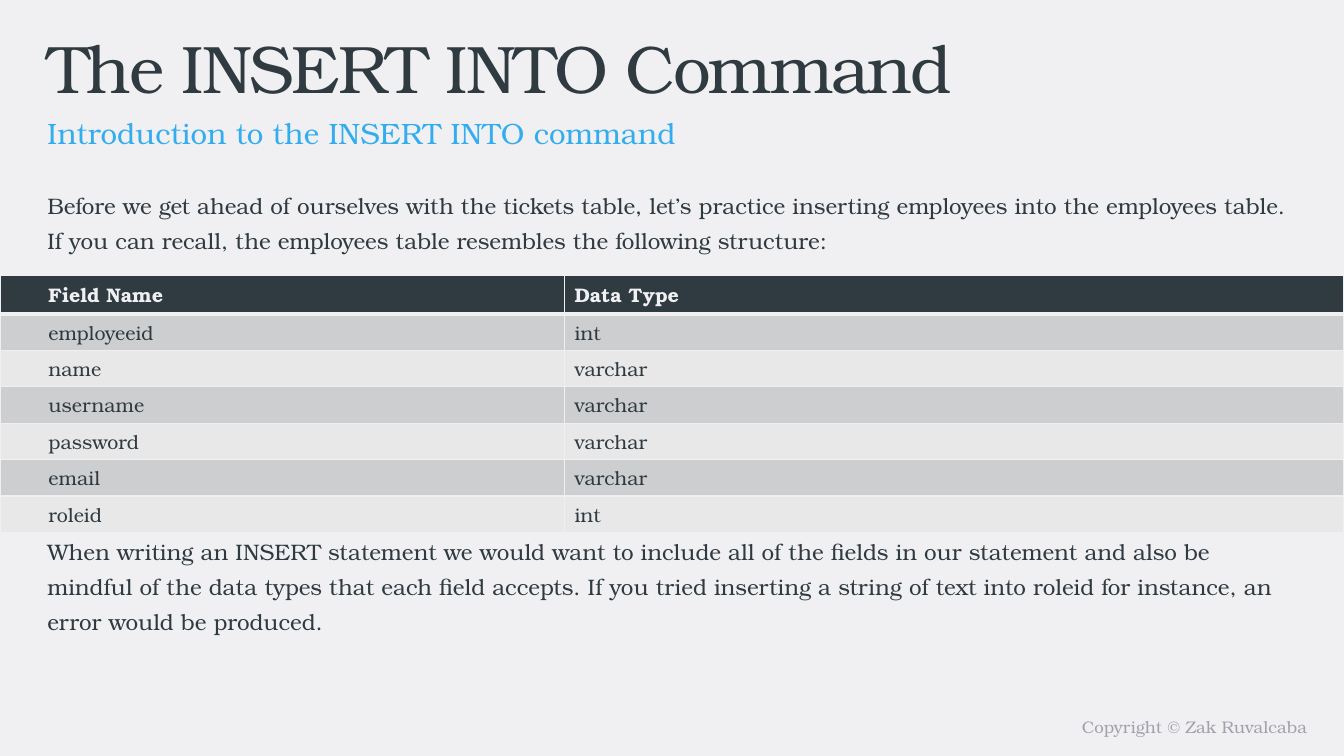
"""Build the slide that introduces the INSERT INTO command."""
import dataclasses
import typing

import lxml.etree
import pptx
import pptx.dml.color
import pptx.enum.text
import pptx.oxml.ns
import pptx.util

Pt = pptx.util.Pt
Align = pptx.enum.text.PP_ALIGN
FACE = "TeX Gyre Bonum"
DARK, PALE, BLUE, GRAY = "303B41", "F0F0F2", "34ADEF", "A1A1AD"
BANDS = ("CDCECF", "E8E8E9")
FIELDS = (
    ("Field Name", "Data Type"),
    ("employeeid", "int"),
    ("name", "varchar"),
    ("username", "varchar"),
    ("password", "varchar"),
    ("email", "varchar"),
    ("roleid", "int"),
)
WIDTHS = (403.2, 556.8)
INDENTS = (34.56, 7.2)
ROW = 26
INTRO = (
    "Before we get ahead of ourselves with the tickets table, let’s practice "
    "inserting employees into the employees table. If you can recall, the "
    "employees table resembles the following structure:"
)
CLOSE = (
    "When writing an INSERT statement we would want to include all of the "
    "fields in our statement and also be mindful of the data types that each "
    "field accepts. If you tried inserting a string of text into roleid for "
    "instance, an error would be produced."
)


@dataclasses.dataclass(frozen=True)
class Block:
    lines: tuple[str, ...]
    box: tuple[float, float, float, float]
    size: float
    color: str
    lead: float = 1.0
    gap: float = 0
    track: int = 0
    align: typing.Any = Align.LEFT


TITLE = Block(("The INSERT INTO Command",), (26.6, 15.1, 846.7, 56.9), 48, DARK, track=-150)
BODY = Block((INTRO, CLOSE), (26.6, 128.2, 907.9, 393.1), 16, DARK, lead=1.3, gap=197)
SUB = Block(("Introduction to the INSERT INTO command",), (26.6, 71.3, 846.7, 28.1), 21, BLUE, lead=1.3)
FOOT = Block(("Copyright © Zak Ruvalcaba",), (480.2, 508.3, 460.8, 22.3), 12, GRAY, align=Align.RIGHT)


def rgb(code: str) -> pptx.dml.color.RGBColor:
    return pptx.dml.color.RGBColor.from_string(code)


def add(parent: typing.Any, tag: str, **attrs: str) -> typing.Any:
    return lxml.etree.SubElement(parent, pptx.oxml.ns.qn(tag), attrs)


def style(para: typing.Any, size: float, color: str, bold: bool = False) -> None:
    font = para.font
    font.name, font.size, font.bold = FACE, Pt(size), bold
    font.color.rgb = rgb(color)


def write(shape: typing.Any, block: Block) -> None:
    shape.left, shape.top, shape.width, shape.height = map(Pt, block.box)
    frame = shape.text_frame
    frame.word_wrap = True
    frame.auto_size = pptx.enum.text.MSO_AUTO_SIZE.NONE
    frame.vertical_anchor = pptx.enum.text.MSO_ANCHOR.TOP
    frame.text = "\n".join(block.lines)
    for rank, para in enumerate(frame.paragraphs):
        props = para._p.get_or_add_pPr()
        props.set("marL", "0")
        props.set("indent", "0")
        add(props, "a:buNone")
        para.alignment = block.align
        para.line_spacing = block.lead
        para.space_before = Pt(block.gap if rank else 0)
        style(para, block.size, block.color)
        if block.track:
            para.runs[0]._r.get_or_add_rPr().set("spc", str(block.track))


def edge(cell: typing.Any, row: int) -> None:
    props = cell._tc.get_or_add_tcPr()
    heavy = {(0, "B"), (1, "T")}
    for side in "LRTB":
        width = Pt(3 if (row, side) in heavy else 1)
        line = add(props, f"a:ln{side}", w=str(width))
        add(add(line, "a:solidFill"), "a:srgbClr", val=PALE)


def grid(slide: typing.Any) -> None:
    count = len(FIELDS)
    frame = slide.shapes.add_table(
        count, len(WIDTHS), Pt(0), Pt(196.6), Pt(sum(WIDTHS)), Pt(ROW * count)
    )
    table = frame.table
    for col, width in zip(table.columns, WIDTHS):
        col.width = Pt(width)
    for row, texts in enumerate(FIELDS):
        table.rows[row].height = Pt(ROW)
        head = row == 0
        for col, text in enumerate(texts):
            cell = table.cell(row, col)
            edge(cell, row)
            cell.fill.solid()
            cell.fill.fore_color.rgb = rgb(DARK if head else BANDS[(row - 1) % 2])
            cell.margin_left = Pt(INDENTS[col])
            cell.text = text
            style(cell.text_frame.paragraphs[0], 14, PALE if head else DARK, head)


def main() -> None:
    deck = pptx.Presentation()
    deck.slide_width, deck.slide_height = Pt(960), Pt(540)
    slide = deck.slides.add_slide(deck.slide_layouts[3])
    slide.background.fill.solid()
    slide.background.fill.fore_color.rgb = rgb(PALE)
    for shape, block in zip(slide.placeholders, (TITLE, BODY, SUB)):
        write(shape, block)
    write(slide.shapes.add_textbox(*map(Pt, FOOT.box)), FOOT)
    grid(slide)
    deck.save("out.pptx")


if __name__ == "__main__":
    main()
